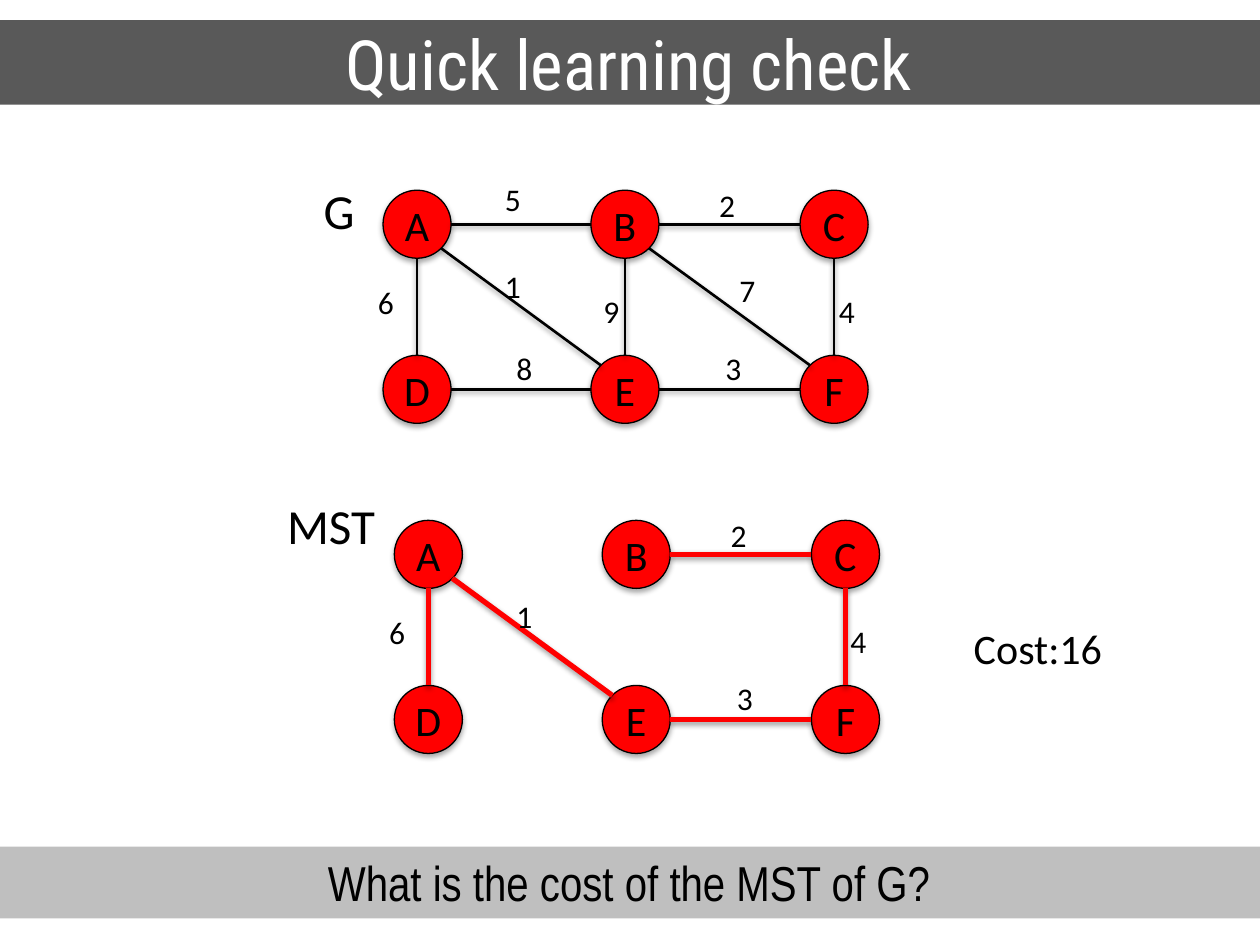
"""Build a slide that asks for the cost of a graph's minimum spanning tree."""
from lxml import etree
from pptx import Presentation
from pptx.dml.color import RGBColor
from pptx.enum.shapes import MSO_CONNECTOR, MSO_SHAPE
from pptx.enum.text import MSO_ANCHOR, MSO_AUTO_SIZE, PP_ALIGN
from pptx.oxml import parse_xml
from pptx.oxml.ns import nsdecls
from pptx.util import Inches, Pt


def color(hex_string):
    return RGBColor.from_string(hex_string)


def write(shape, text, size, font="Calibri", ink="000000", align=PP_ALIGN.LEFT):
    paragraph = shape.text_frame.paragraphs[0]
    paragraph.alignment = align
    run = paragraph.add_run()
    run.text = text
    run.font.size = Pt(size)
    run.font.name = font
    run.font.color.rgb = color(ink)


SHADOW = (
    f'<a:effectLst {nsdecls("a")}><a:outerShdw blurRad="40000" dist="%d" dir="5400000" rotWithShape="0">'
    '<a:srgbClr val="000000"><a:alpha val="%d"/></a:srgbClr></a:outerShdw></a:effectLst>'
)
NODE_SIZE = 0.54
STRAIGHT_REACH, DIAGONAL_REACH = 0.27, 0.19
columns = (3.31, 4.96, 6.62)
rows = (1.78, 3.09)
centers = dict(zip("ABCDEF", [(x, y) for y in rows for x in columns]))
edges = {
    "AB": ("5", 3.91, 1.38),
    "BC": ("2", 5.61, 1.43),
    "AD": ("6", 2.9, 2.2),
    "AE": ("1", 3.91, 2.07),
    "BE": ("9", 4.69, 2.27),
    "BF": ("7", 5.77, 2.1),
    "CF": ("4", 6.56, 2.27),
    "DE": ("8", 4, 2.72),
    "EF": ("3", 5.66, 2.72),
}
tree = ("AD", "AE", "BC", "CF", "EF")
graphs = [
    (0, 0, edges, "000000", 1.5),
    (0.09, 2.62, tree, "FF0000", 3),
]

presentation = Presentation()
presentation.slide_width = Inches(10)
presentation.slide_height = Inches(7.5)
slide = presentation.slides.add_slide(presentation.slide_layouts[0])
subtitle = slide.placeholders[1].element
subtitle.getparent().remove(subtitle)

heading = slide.shapes.title
heading.left, heading.top = Inches(-0.02), Inches(0.16)
heading.width, heading.height = Inches(10.02), Inches(0.67)
heading.fill.solid()
heading.fill.fore_color.rgb = color("595959")
heading.text_frame.vertical_anchor = MSO_ANCHOR.MIDDLE
heading.text_frame.auto_size = MSO_AUTO_SIZE.NONE
write(heading, "Quick learning check", 39.6, "Roboto Condensed", "FFFFFF", PP_ALIGN.CENTER)

question = slide.shapes.add_shape(
    MSO_SHAPE.RECTANGLE, Inches(-0.02), Inches(6.72), Inches(10.02), Inches(0.57))
question.shadow.inherit = False
question.fill.solid()
question.fill.fore_color.rgb = color("BFBFBF")
question.line.fill.background()
question.text_frame.vertical_anchor = MSO_ANCHOR.TOP
question.text_frame.auto_size = MSO_AUTO_SIZE.SHAPE_TO_FIT_TEXT
write(question, "What is the cost of the MST of G?", 28, "Arial Narrow", align=PP_ALIGN.CENTER)

labels = [
    ("G", 28, 2.47, 1.38, 0.45, 0.57),
    ("MST", 28, 2.18, 3.88, 0.91, 0.57),
    ("Cost:16", 24, 7.63, 4.89, 1.23, 0.5),
]
for shift_x, shift_y, drawn_edges, edge_color, edge_width in graphs:
    for letter, (x, y) in centers.items():
        node = slide.shapes.add_shape(
            MSO_SHAPE.OVAL,
            Inches(x + shift_x - NODE_SIZE / 2), Inches(y + shift_y - NODE_SIZE / 2),
            Inches(NODE_SIZE), Inches(NODE_SIZE))
        node.fill.solid()
        node.fill.fore_color.rgb = color("FF0000")
        node.line.color.rgb = color("000000")
        node.line.width = Pt(0.75)
        node.element.spPr.append(parse_xml(SHADOW % (23000, 35000)))
        frame = node.text_frame
        frame.margin_left = frame.margin_right = Inches(0.04)
        frame.vertical_anchor = MSO_ANCHOR.MIDDLE
        write(node, letter, 24, align=PP_ALIGN.CENTER)

    for ends in drawn_edges:
        (x1, y1), (x2, y2) = centers[ends[0]], centers[ends[1]]
        reach = DIAGONAL_REACH if x1 != x2 and y1 != y2 else STRAIGHT_REACH
        trim_x, trim_y = reach * (x2 > x1), reach * (y2 > y1)
        edge = slide.shapes.add_connector(
            MSO_CONNECTOR.STRAIGHT,
            Inches(x1 + shift_x + trim_x), Inches(y1 + shift_y + trim_y),
            Inches(x2 + shift_x - trim_x), Inches(y2 + shift_y - trim_y))
        edge.line.color.rgb = color(edge_color)
        edge.line.width = Pt(edge_width)
        edge.element.spPr.append(parse_xml(SHADOW % (20000, 38000)))
        weight, left, top = edges[ends]
        labels.append((weight, 18, left + shift_x, top + shift_y, 0.33, 0.4))

for text, size, left, top, width, height in labels:
    label = slide.shapes.add_textbox(Inches(left), Inches(top), Inches(width), Inches(height))
    label.text_frame.word_wrap = False
    label.text_frame.auto_size = MSO_AUTO_SIZE.SHAPE_TO_FIT_TEXT
    write(label, text, size)

presentation.save("out.pptx")
